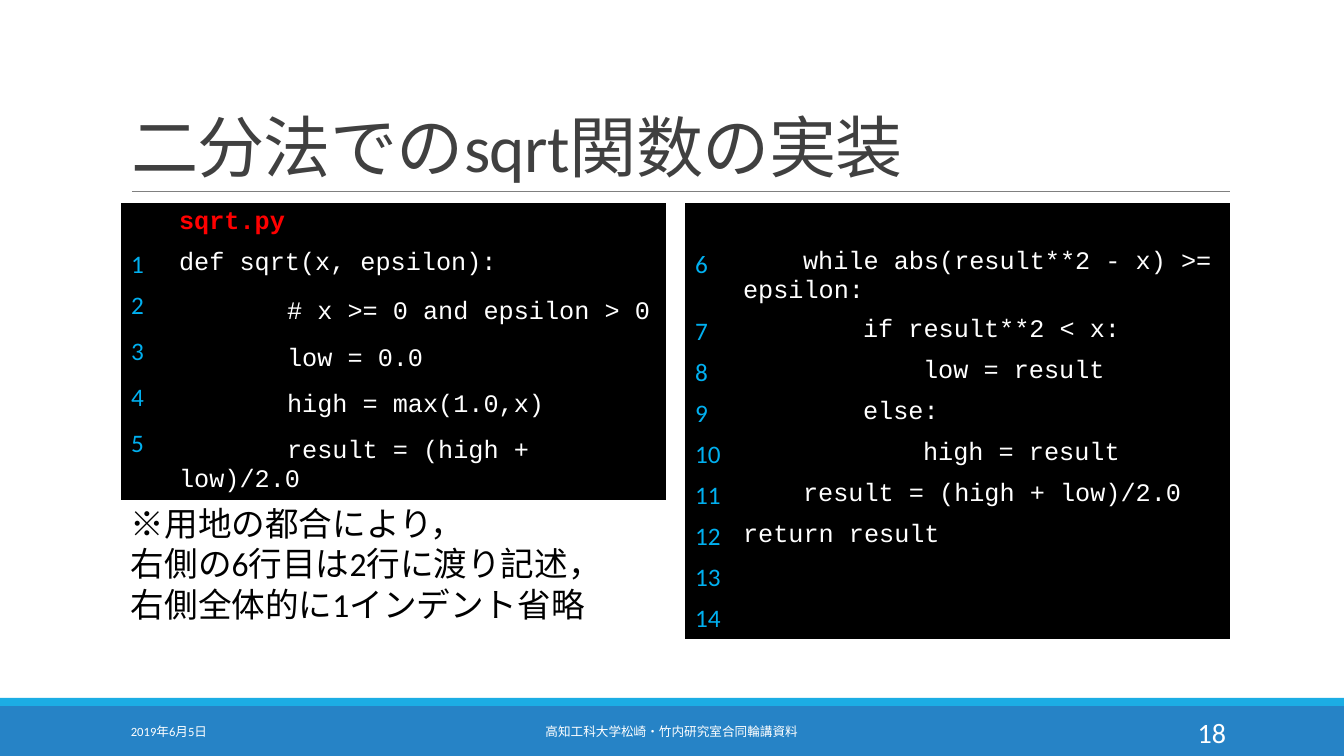
from pptx import Presentation
from pptx.dml.color import RGBColor
from pptx.enum.shapes import MSO_CONNECTOR, MSO_SHAPE
from pptx.enum.text import MSO_ANCHOR, MSO_AUTO_SIZE, PP_ALIGN
from pptx.oxml import parse_xml
from pptx.oxml.ns import nsdecls, qn
from pptx.util import Pt

LEFT, MID, RIGHT = PP_ALIGN.LEFT, PP_ALIGN.CENTER, PP_ALIGN.RIGHT
TOP, CENTER, BOTTOM = MSO_ANCHOR.TOP, MSO_ANCHOR.MIDDLE, MSO_ANCHOR.BOTTOM
RECT, LINE = MSO_SHAPE.RECTANGLE, MSO_CONNECTOR.STRAIGHT
SANS, MONO = "Calibri", "Courier New"
NO_STYLE = "{2D5ABB26-0587-4C30-8999-92F81FD0307C}"

# Content; each code row is (number, indent level, code)
TITLE = "二分法でのsqrt関数の実装"
NOTE = ["※用地の都合により，", "右側の6行目は2行に渡り記述，",
        "右側全体的に1インデント省略"]
FILE = "sqrt.py"
HEAD = [
    ("", 0, FILE),
    ("1", 0, "def sqrt(x, epsilon):"),
    ("2", 1, "# x >= 0 and epsilon > 0"),
    ("3", 1, "low = 0.0"),
    ("4", 1, "high = max(1.0,x)"),
    ("5", 1, "result = (high + low)/2.0"),
]
LOOP = [
    ("", 0, ""),
    ("6", 1, "while abs(result**2 - x) >= epsilon:"),
    ("7", 2, "if result**2 < x:"),
    ("8", 3, "low = result"),
    ("9", 2, "else:"),
    ("10", 3, "high = result"),
    ("11", 1, "result = (high + low)/2.0"),
    ("12", 0, "return result"),
    ("13", 0, ""),
    ("14", 0, ""),
]
# Left edge, indent step, extra space above indented code, rows
TABLES = [(121, 108, 9, HEAD), (685, 60, 0, LOOP)]
# Text, left, width, size, alignment
FOOT = [
    ("2019年6月5日", 121, 272, 9, LEFT),
    ("高知工科大学松崎・竹内研究室合同輪講資料", 406, 531, 9, MID),
    ("18", 1092, 144, 20, RIGHT),
]
BARS = [(706, 50, "2683C6"), (698, 8, "1CADE4")]
WIDE, HIGH = 1344, 756
TABLE_TOP, ROW, COLS = 203, 41, (48, 497)
PAD, FOOT_PAD = 5, 2


def px(n):
    return int(n * 914400 / 100.8)


def color(code):
    return RGBColor.from_string(code)


def paint(obj, code):
    obj.fill.solid()
    obj.fill.fore_color.rgb = color(code)


def write(para, text, size, code, font=SANS, bold=False):
    run = para.add_run()
    run.text = text
    run.font.size, run.font.name, run.font.bold = Pt(size), font, bold
    run.font.color.rgb = color(code)
    return run


def label(lines, x, y, w, h, size, code, align=LEFT, anchor=TOP):
    box = slide.shapes.add_textbox(px(x), px(y), px(w), px(h))
    frame = box.text_frame
    frame.word_wrap, frame.vertical_anchor = True, anchor
    for i, line in enumerate(lines):
        para = frame.add_paragraph() if i else frame.paragraphs[0]
        para.alignment = align
        write(para, line, size, code)


def listing(x, step, lead, rows):
    frame = slide.shapes.add_table(len(rows), 2, px(x), px(TABLE_TOP),
                                   px(sum(COLS)), px(ROW * len(rows)))
    table = frame.table
    table.first_row = table.horz_banding = False
    table._tbl.tblPr.find(qn("a:tableStyleId")).text = NO_STYLE
    for col, w in zip(table.columns, COLS):
        col.width = px(w)
    for r, (num, level, code) in enumerate(rows):
        table.rows[r].height = px(ROW)
        left, right = table.cell(r, 0), table.cell(r, 1)
        for cell in (left, right):
            paint(cell, "000000")
        if num:
            write(left.text_frame.paragraphs[0], num, 18, "00B0F0")
        if code:
            para = right.text_frame.paragraphs[0]
            name = code == FILE
            write(para, code, 18, "FF0000" if name else "FFFFFF", MONO, name)
        if level:
            # Only the first line of wrapped code is indented
            props = para._p.get_or_add_pPr()
            props.set("marL", "0")
            props.set("indent", str(px(step * level)))
            right.margin_top = px(PAD + lead)
            right.margin_bottom = px(FOOT_PAD)


deck = Presentation()
deck.slide_width, deck.slide_height = px(WIDE), px(HIGH)
slide = deck.slides.add_slide(deck.slide_layouts[5])

# Footer bars
for y, h, code in BARS:
    bar = slide.shapes.add_shape(RECT, 0, px(y), px(WIDE), px(h))
    bar.shadow.inherit = False
    paint(bar, code)
    bar.line.fill.background()

# Title and the rule below it
title = slide.shapes.title
title.left, title.top, title.width, title.height = map(px, (121, 31, 1109, 160))
frame = title.text_frame
frame.auto_size, frame.word_wrap = MSO_AUTO_SIZE.NONE, True
frame.vertical_anchor = BOTTOM
para = frame.paragraphs[0]
para.alignment, para.line_spacing = LEFT, 0.85
run = write(para, TITLE, 48, "404040")
run.font._element.set("spc", "-50")

rule = slide.shapes.add_connector(LINE, px(132), px(191), px(1230), px(191))
rule.line.color.rgb, rule.line.width = color("808080"), Pt(0.5)
rule._element.spPr.append(parse_xml("<a:effectLst %s/>" % nsdecls("a")))

# Footer, code tables and note
for text, x, w, size, align in FOOT:
    label([text], x, 712, w, 40, size, "FFFFFF", align, CENTER)
for x, step, lead, rows in TABLES:
    listing(x, step, lead, rows)
label(NOTE, 121, 498, 474, 132, 24, "000000")

deck.save("out.pptx")
